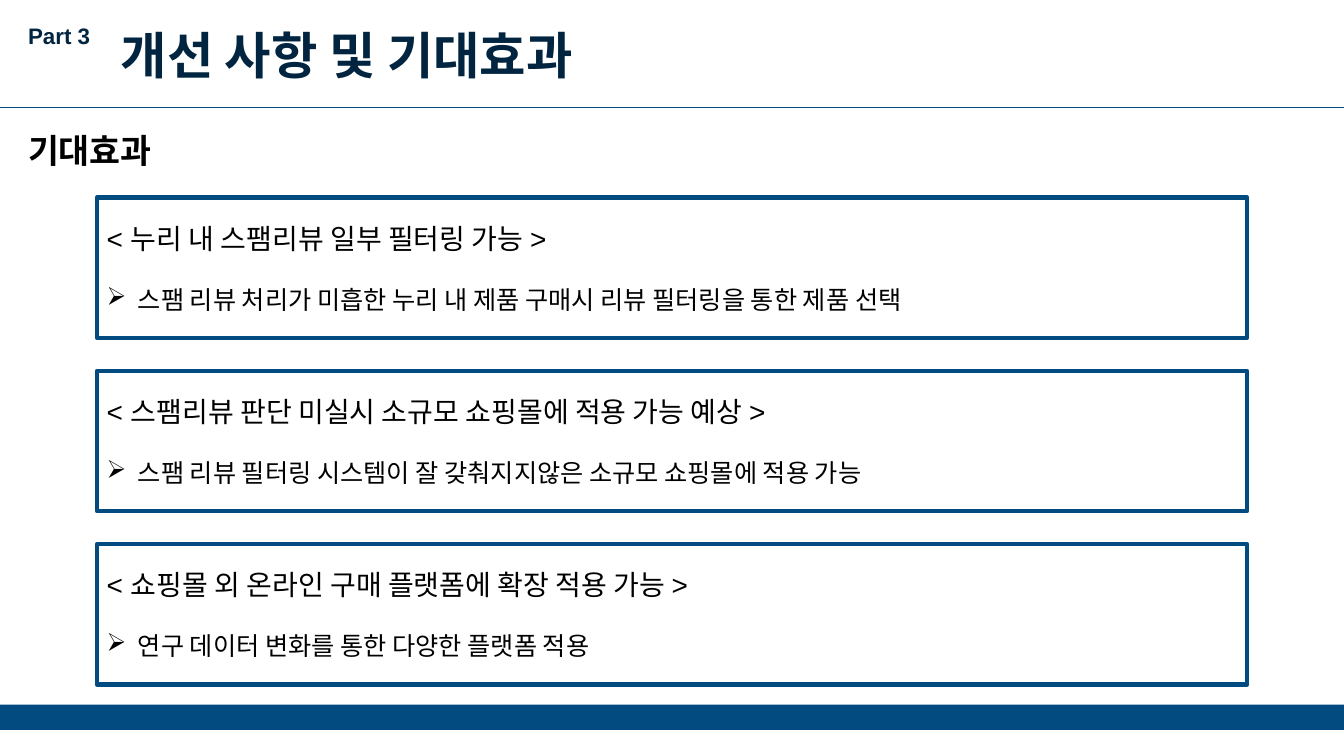
from lxml import etree
from pptx import Presentation
from pptx.dml.color import RGBColor
from pptx.enum.shapes import MSO_CONNECTOR, MSO_SHAPE
from pptx.enum.text import MSO_ANCHOR, PP_ALIGN
from pptx.oxml.ns import qn
from pptx.util import Inches, Pt

RECTANGLE = MSO_SHAPE.RECTANGLE
STRAIGHT = MSO_CONNECTOR.STRAIGHT
MIDDLE = MSO_ANCHOR.MIDDLE
LEFT = PP_ALIGN.LEFT

BLUE = "024B80"
NAVY = "012540"
BLACK = "000000"
LATIN = "Arial"
KOREAN = "Noto Sans CJK KR"

EFFECTS = [
    ("< 누리 내 스팸리뷰 일부 필터링 가능 >",
     "스팸 리뷰 처리가 미흡한 누리 내 제품 구매시 리뷰 필터링을 통한 제품 선택"),
    ("< 스팸리뷰 판단 미실시 소규모 쇼핑몰에 적용 가능 예상 >",
     "스팸 리뷰 필터링 시스템이 잘 갖춰지지않은 소규모 쇼핑몰에 적용 가능"),
    ("< 쇼핑몰 외 온라인 구매 플랫폼에 확장 적용 가능 >",
     "연구 데이터 변화를 통한 다양한 플랫폼 적용"),
]
FIRST_TOP = 1.96
BOX_PITCH = 1.72


def color(value):
    return RGBColor.from_string(value)


def write(para, text, size, font, tint, bold=False):
    para.text = text
    para.alignment = LEFT
    for span in para.runs:
        span.font.size = Pt(size)
        span.font.name = font
        span.font.bold = bold
        span.font.color.rgb = color(tint)
        east_asian = etree.SubElement(span.font._element, qn("a:ea"))
        east_asian.set("typeface", KOREAN)


def add_bullet(para, symbol, indent):
    properties = para._p.get_or_add_pPr()
    properties.set("marL", str(Inches(indent)))
    properties.set("indent", str(-Inches(indent)))
    etree.SubElement(properties, qn("a:buChar")).set("char", symbol)


def add_label(page, left, top, width, height, text, size, font, tint):
    box = page.shapes.add_textbox(Inches(left), Inches(top), Inches(width), Inches(height))
    box.text_frame.word_wrap = True
    write(box.text_frame.paragraphs[0], text, size, font, tint, bold=True)


def add_rectangle(page, left, top, width, height):
    box = page.shapes.add_shape(
        RECTANGLE, Inches(left), Inches(top), Inches(width), Inches(height))
    box.shadow.inherit = False
    return box


def add_footer_bar(page):
    bar = add_rectangle(page, 0, 6.99, 13.33, 0.25)
    bar.fill.solid()
    bar.fill.fore_color.rgb = color(BLUE)
    bar.line.fill.background()


def add_header_rule(page):
    rule = page.shapes.add_connector(
        STRAIGHT, Inches(0), Inches(1.07), Inches(13.33), Inches(1.07))
    rule.line.color.rgb = color(BLUE)
    rule.line.width = Pt(0.5)
    etree.SubElement(rule._element.spPr, qn("a:effectLst"))


def add_effect_box(page, top, heading, detail):
    box = add_rectangle(page, 0.96, top, 11.41, 1.39)
    box.fill.background()
    box.line.color.rgb = color(BLUE)
    box.line.width = Pt(3)
    frame = box.text_frame
    frame.word_wrap = True
    frame.vertical_anchor = MIDDLE
    write(frame.paragraphs[0], heading, 20, LATIN, BLACK)
    para = frame.add_paragraph()
    para.space_before = Pt(21)
    add_bullet(para, "➢", 0.31)
    write(para, detail, 18, LATIN, BLACK)


def main():
    deck = Presentation()
    deck.slide_width = Inches(13.33)
    deck.slide_height = Inches(7.5)
    page = deck.slides.add_slide(deck.slide_layouts[6])

    add_header_rule(page)
    add_footer_bar(page)
    add_label(page, 0.18, 0.17, 0.92, 0.37, "Part 3", 16, LATIN, NAVY)
    add_label(page, 1.1, 0.19, 7.83, 0.71, "개선 사항 및 기대효과", 36, KOREAN, NAVY)
    add_label(page, 0.18, 1.24, 6.84, 0.5, "기대효과", 24, KOREAN, BLACK)
    for index, (heading, detail) in enumerate(EFFECTS):
        add_effect_box(page, FIRST_TOP + index * BOX_PITCH, heading, detail)

    deck.save("out.pptx")


if __name__ == "__main__":
    main()
